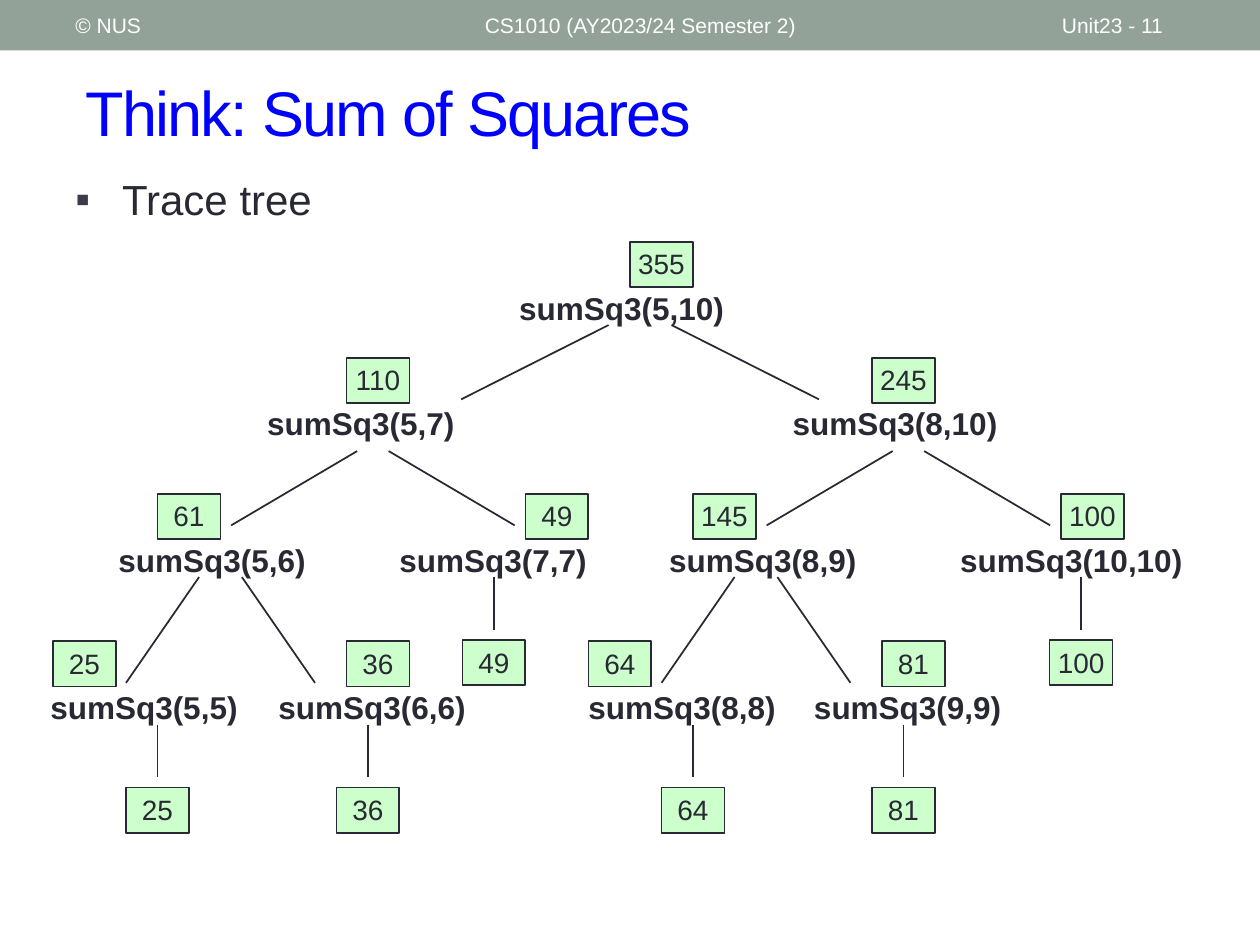
import pptx
import pptx.util
import pptx.dml.color
import pptx.enum.shapes
import pptx.enum.text
import pptx.oxml
import pptx.oxml.ns
from pptx.util import Inches

INK = "292934"
WHITE = "FFFFFF"
ALIGN = pptx.enum.text.PP_ALIGN
ANCHOR = pptx.enum.text.MSO_ANCHOR
SHAPE = pptx.enum.shapes.MSO_SHAPE
STRAIGHT = pptx.enum.shapes.MSO_CONNECTOR.STRAIGHT

HEADER_ITEMS = [
    ("© NUS", 0.5, 3.17),
    ("CS1010 (AY2023/24 Semester 2)", 3.75, 4.5),
    ("Unit23 - 11", 8.33, 1.17),
]

# level: call top, branch start below it, branch fall, half gap, reach
LEVELS = [
    (0.33, 0.33, 0.59, 0.25, 1.42),
    (1.25, 0.41, 0.59, 0.125, 1.125),
    (2.33, 0.33, 0.84, 0.17, 0.75),
    (3.5, 0.33, 0.84, 0.17, 0.75),
]

# call: level, first, last, label left, label width, value left, stem centre
CALLS = [
    (0, 5, 10, 3.72, 2.42, 4.64, 4.72),
    (1, 5, 7, 1.72, 2.25, 2.39, 2.6),
    (1, 8, 10, 5.89, 2.25, 6.56, 6.85),
    (2, 5, 6, 0.54, 1.6, 0.89, 1.39),
    (2, 7, 7, 2.77, 1.62, 3.81, 3.56),
    (2, 8, 9, 4.91, 1.65, 5.14, 5.64),
    (2, 10, 10, 7.22, 1.9, 8.06, 8.22),
    (3, 5, 5, 0, 1.64, 0.06, 0.89),
    (3, 6, 6, 1.81, 1.66, 2.39, 2.56),
    (3, 8, 8, 4.27, 1.62, 4.31, 5.14),
    (3, 9, 9, 6.06, 1.65, 6.64, 6.81),
]


def color(value):
    return pptx.dml.color.RGBColor.from_string(value)


def write(shape, text, size, ink, bold=False, align=ALIGN.LEFT,
          anchor=ANCHOR.TOP, inset=None):
    frame = shape.text_frame
    settings = {"word_wrap": True, "vertical_anchor": anchor}
    if inset is not None:
        for side in ("left", "right", "top", "bottom"):
            settings["margin_" + side] = Inches(inset)
    for name, value in settings.items():
        setattr(frame, name, value)
    paragraph = frame.paragraphs[0]
    paragraph.alignment = align
    run = paragraph.add_run()
    run.text = text
    font_format = {"name": "Arial", "size": pptx.util.Pt(size), "bold": bold}
    for name, value in font_format.items():
        setattr(run.font, name, value)
    run.font.color.rgb = color(ink)
    return run


def add_text(slide, box, text, size, ink, **options):
    shape = slide.shapes.add_textbox(*map(Inches, box))
    return write(shape, text, size, ink, **options)


def add_rectangle(slide, box, fill, line=None):
    shape = slide.shapes.add_shape(SHAPE.RECTANGLE, *map(Inches, box))
    shape.shadow.inherit = False
    shape.fill.solid()
    shape.fill.fore_color.rgb = color(fill)
    if line:
        shape.line.color.rgb = color(line)
        shape.line.width = pptx.util.Pt(1)
    else:
        shape.line.fill.background()
    return shape


def add_line(slide, *ends):
    connector = slide.shapes.add_connector(STRAIGHT, *map(Inches, ends))
    connector.line.color.rgb = color(INK)
    connector.line.width = pptx.util.Pt(1)
    properties = connector._element.spPr
    properties.append(pptx.oxml.parse_xml(
        "<a:effectLst %s/>" % pptx.oxml.ns.nsdecls("a")))


def add_value(slide, left, top, value):
    shape = add_rectangle(slide, (left, top, 0.5, 0.36), "CCFFCC", INK)
    write(shape, str(value), 16, INK, align=ALIGN.CENTER, inset=0.04)


def add_header(slide, box):
    left, top, width, height = box
    add_rectangle(slide, box, "93A299")
    for text, offset, item_width in HEADER_ITEMS:
        item_box = (left + offset, top + 0.02, item_width, height - 0.04)
        add_text(slide, item_box, text, 12, WHITE, anchor=ANCHOR.MIDDLE)


def add_title(slide, box):
    run = add_text(slide, box, "Think: Sum of Squares", 36, "0000FF",
                   anchor=ANCHOR.MIDDLE)
    run.font._element.set("spc", "-100")


def add_bullet(slide, box):
    run = add_text(slide, box, "Trace tree", 24, INK)
    properties = run._r.getparent().get_or_add_pPr()
    properties.set("marL", str(Inches(0.37)))
    properties.set("indent", str(-Inches(0.37)))
    namespace = pptx.oxml.ns.nsdecls("a")
    for element in (
        '<a:buClr %s><a:srgbClr val="3B3B4B"/></a:buClr>',
        '<a:buFont %s typeface="Arial"/>',
        '<a:buChar %s char="▪"/>',
    ):
        properties.append(pptx.oxml.parse_xml(element % namespace))


def add_trace_tree(slide, box):
    left, top = box[:2]
    for level, first, last, label, width, value_left, stem in CALLS:
        call_top, start, fall, gap, reach = LEVELS[level]
        call_top += top
        line_top = call_top + start
        center = left + stem
        value = sum(number ** 2 for number in range(first, last + 1))
        add_text(slide, (left + label, call_top, width, 0.38),
                 f"sumSq3({first},{last})", 18, INK, bold=True, inset=0.04)
        add_value(slide, left + value_left, call_top - 0.33, value)
        if first == last:
            add_line(slide, center, line_top, center, line_top + 0.42)
            add_value(slide, center - 0.25, line_top + 0.5, value)
        else:
            for side in (-1, 1):
                add_line(slide, center + side * gap, line_top,
                         center + side * reach, line_top + fall)


def main():
    presentation = pptx.Presentation()
    presentation.slide_width = Inches(10)
    presentation.slide_height = Inches(7.5)
    slide = presentation.slides.add_slide(presentation.slide_layouts[6])
    add_header(slide, (0, 0, 10, 0.4))
    add_title(slide, (0.58, 0.42, 9.17, 0.92))
    add_bullet(slide, (0.5, 1.33, 2.75, 0.59))
    add_trace_tree(slide, (0.36, 1.92, 9.12, 4.69))
    presentation.save("out.pptx")


if __name__ == "__main__":
    main()
